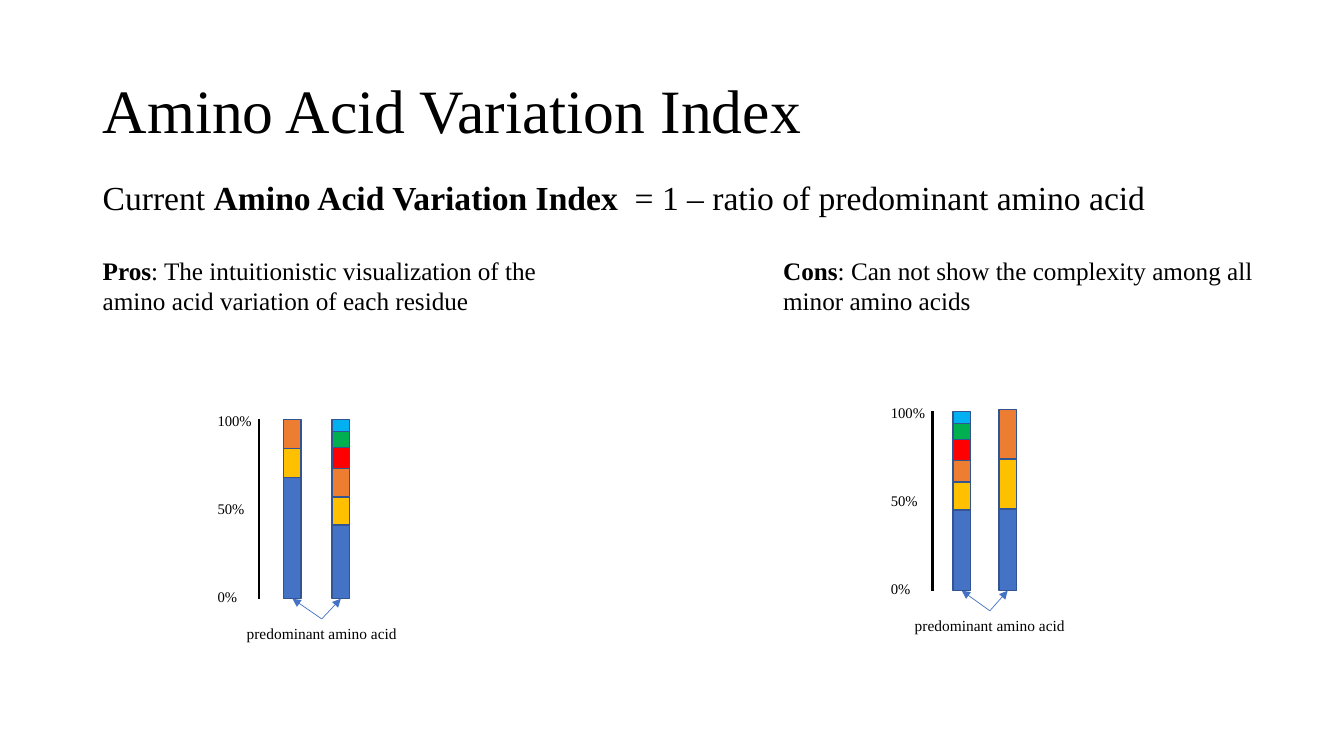
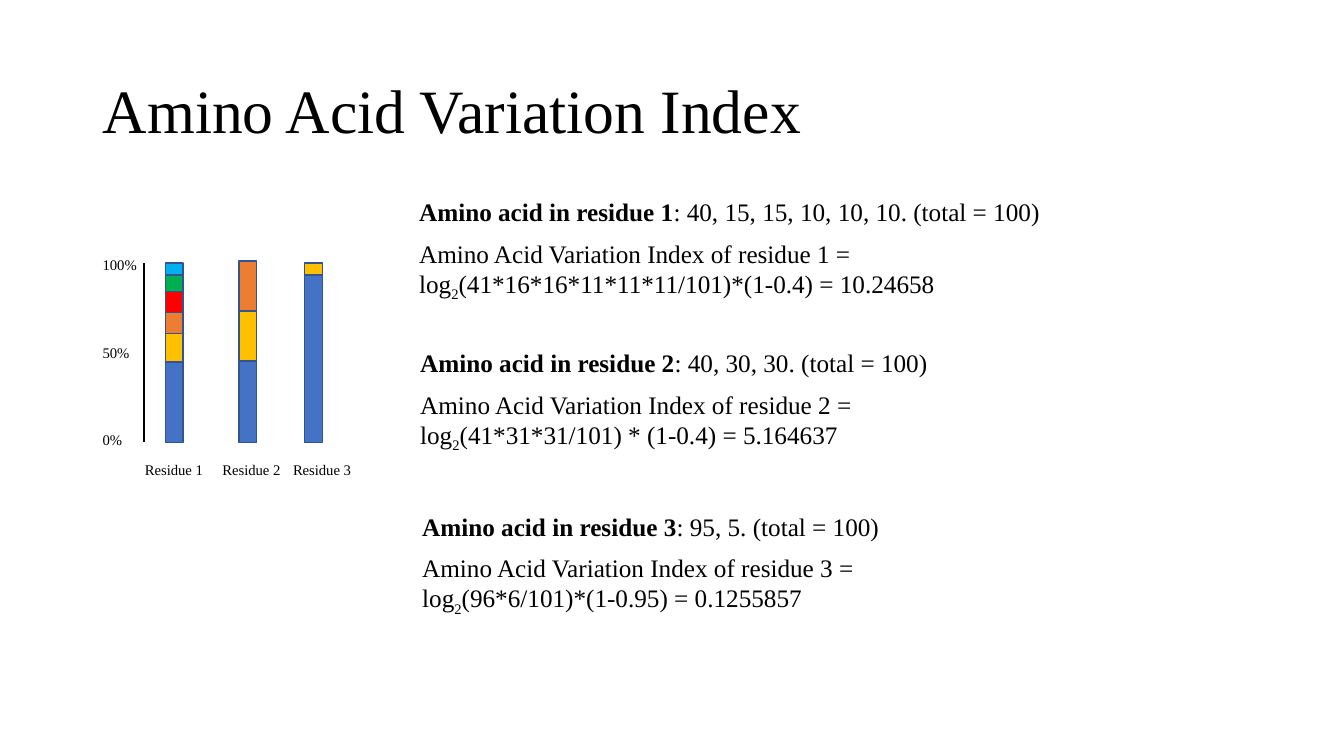
from lxml import etree
from pptx import Presentation
from pptx.dml.color import RGBColor
from pptx.enum.shapes import MSO_CONNECTOR, MSO_SHAPE
from pptx.enum.text import MSO_ANCHOR, PP_ALIGN
from pptx.oxml.ns import qn
from pptx.util import Inches, Pt

STRAIGHT, RECTANGLE = MSO_CONNECTOR.STRAIGHT, MSO_SHAPE.RECTANGLE
LEFT, CENTER = PP_ALIGN.LEFT, PP_ALIGN.CENTER
TOP, MIDDLE = MSO_ANCHOR.TOP, MSO_ANCHOR.MIDDLE

FONT = "Times New Roman"
TITLE = "Amino Acid Variation Index"
COLORS = {
    "text": "000000", "outline": "325491", "blue": "4472C4", "yellow": "FFC000",
    "orange": "ED7D31", "red": "FF0000", "green": "00B050", "cyan": "00B0F0",
}
SEGMENT_COLORS = ["blue", "yellow", "orange", "red", "green", "cyan"]

presentation = Presentation()
presentation.slide_width = Inches(13.333)
presentation.slide_height = Inches(7.5)

# All lengths are percentages of the slide: COLUMN across, ROW down
COLUMN = presentation.slide_width / 100
ROW = presentation.slide_height / 100
MARGIN, CONTENT_WIDTH = 6.9, 86.25
AXIS_HEIGHT, BAR_WIDTH = 23.73, 1.3

# Segment heights from the bottom up
SIX_ACIDS = [10.67, 3.73, 2.8, 2.8, 2.13, 1.6]
THREE_ACIDS = [10.8, 6.6, 6.6]


def add_text(slide, left, top, width, height, paragraphs, size,
             align=LEFT, anchor=TOP, line_spacing=1.0, gap=0):
    """Each paragraph is a list of (text, style) runs; gap follows the first one."""
    shape = slide.shapes.add_textbox(int(left * COLUMN), int(top * ROW),
                                     int(width * COLUMN), int(height * ROW))
    frame = shape.text_frame
    frame.word_wrap = True
    frame.vertical_anchor = anchor
    for index, runs in enumerate(paragraphs):
        paragraph = frame.add_paragraph() if index else frame.paragraphs[0]
        paragraph.alignment = align
        paragraph.line_spacing = line_spacing
        paragraph.space_after = Pt(0 if index else gap)
        for text, style in runs:
            run = paragraph.add_run()
            run.text = text
            run.font.name = FONT
            run.font.size = Pt(size)
            run.font.bold = style == "bold"
            run.font.color.rgb = RGBColor.from_string(COLORS["text"])
            if style == "subscript":
                run.font._element.set("baseline", "-25000")
    return shape


def add_line(slide, start, end, color, weight, arrow=False):
    line = slide.shapes.add_connector(
        STRAIGHT, int(start[0] * COLUMN), int(start[1] * ROW),
        int(end[0] * COLUMN), int(end[1] * ROW))
    line.line.color.rgb = RGBColor.from_string(COLORS[color])
    line.line.width = Pt(weight)
    properties = line._element.spPr
    if arrow:
        etree.SubElement(properties.find(qn("a:ln")), qn("a:tailEnd"), type="triangle")
    etree.SubElement(properties, qn("a:effectLst"))
    return line


# Slides with the shared title
slides = []
for _ in range(2):
    slide = presentation.slides.add_slide(presentation.slide_layouts[6])
    add_text(slide, MARGIN, 5.33, CONTENT_WIDTH, 19.33, [[(TITLE, "")]], 44,
             anchor=MIDDLE, line_spacing=0.9)
    slides.append(slide)
comparison, calculation = slides

# Stacked bars: slide, axis, base, bars as (offset from axis, segments), has callout
bar_groups = [
    (comparison, 19.28, 79.2,
     [(2.48, [16, 3.87, 3.87]), (6.08, [9.73, 3.73, 3.73, 2.8, 2.13, 1.6])], True),
    (comparison, 69.38, 78.13, [(2.18, SIX_ACIDS), (5.6, THREE_ACIDS)], True),
    (calculation, 10.73, 58.53,
     [(2.25, SIX_ACIDS), (7.7, THREE_ACIDS), (12.6, [22.13, 1.6])], False),
]
for slide, axis, base, bars, has_callout in bar_groups:
    # Axis and its labels
    add_line(slide, (axis, base - AXIS_HEIGHT), (axis, base), "text", 1.5)
    for percent in (100, 50, 0):
        add_text(slide, axis - 3.83, base - 2.13 - 23.2 * percent / 100, 4.5, 3.8,
                 [[(f"{percent}%", "")]], 10.5)

    # Bars
    predominant = []
    for offset, heights in bars:
        top = base
        for index, (height, color) in enumerate(zip(heights, SEGMENT_COLORS)):
            top -= height
            segment = slide.shapes.add_shape(
                RECTANGLE, int((axis + offset - BAR_WIDTH / 2) * COLUMN), int(top * ROW),
                int(BAR_WIDTH * COLUMN), int(height * ROW))
            segment.shadow.inherit = False
            segment.fill.solid()
            segment.fill.fore_color.rgb = RGBColor.from_string(COLORS[color])
            segment.line.color.rgb = RGBColor.from_string(COLORS["outline"])
            segment.line.width = Pt(1)
            if index == 0:
                predominant.append(segment)

    # Callout pointing at the lowest segments
    if has_callout:
        middle = axis + sum(offset for offset, _ in bars) / len(bars) + 0.38
        callout_top = base + 2.67
        callout = add_text(slide, middle - 7.5, callout_top, 15, 3.87,
                           [[("predominant amino acid", "")]], 11, align=CENTER)
        for (offset, _), segment in zip(bars, predominant):
            arrow = add_line(slide, (middle, callout_top), (axis + offset, base),
                             "blue", 0.5, arrow=True)
            arrow.begin_connect(callout, 0)
            arrow.end_connect(segment, 2)

# Slide 1: definition, pros and cons
add_text(comparison, MARGIN, 23.33, CONTENT_WIDTH, 6.8,
         [[("Current ", ""), (TITLE + " ", "bold"),
           (" = 1 – ratio of predominant amino acid", "")]], 24, line_spacing=0.9)
arguments = [
    (MARGIN, "Pros", ": The intuitionistic visualization of the amino acid variation "
                     "of each residue"),
    (57.53, "Cons", ": Can not show the complexity among all minor amino acids"),
]
for left, heading, argument in arguments:
    add_text(comparison, left, 33.07, 38, 9.47,
             [[(heading, "bold"), (argument, "")]], 18)

# Slide 2: label centre, text left, text top, amounts and formula of each residue
residues = [
    (12.94, 30.45, 25.33, "40, 15, 15, 10, 10, 10",
     "(41*16*16*11*11*11/101)*(1-0.4) = 10.24658"),
    (18.71, 30.53, 45.33, "40, 30, 30", "(41*31*31/101) * (1-0.4) = 5.164637"),
    (23.96, 30.68, 66.93, "95, 5", "(96*6/101)*(1-0.95) = 0.1255857"),
]
for number, (center, left, top, amounts, formula) in enumerate(residues, start=1):
    add_text(calculation, center - 3.2, 60.27, 6.4, 3.8,
             [[(f"Residue {number}", "")]], 10.5, align=CENTER)
    add_text(calculation, left, top, 52, 14.8, [
        [(f"Amino acid in residue {number}", "bold"),
         (f": {amounts}. (total = 100)", "")],
        [(f"Amino Acid Variation Index of residue {number} =", "")],
        [("log", ""), ("2", "subscript"), (formula, "")],
    ], 18, gap=8)

presentation.save("out.pptx")
